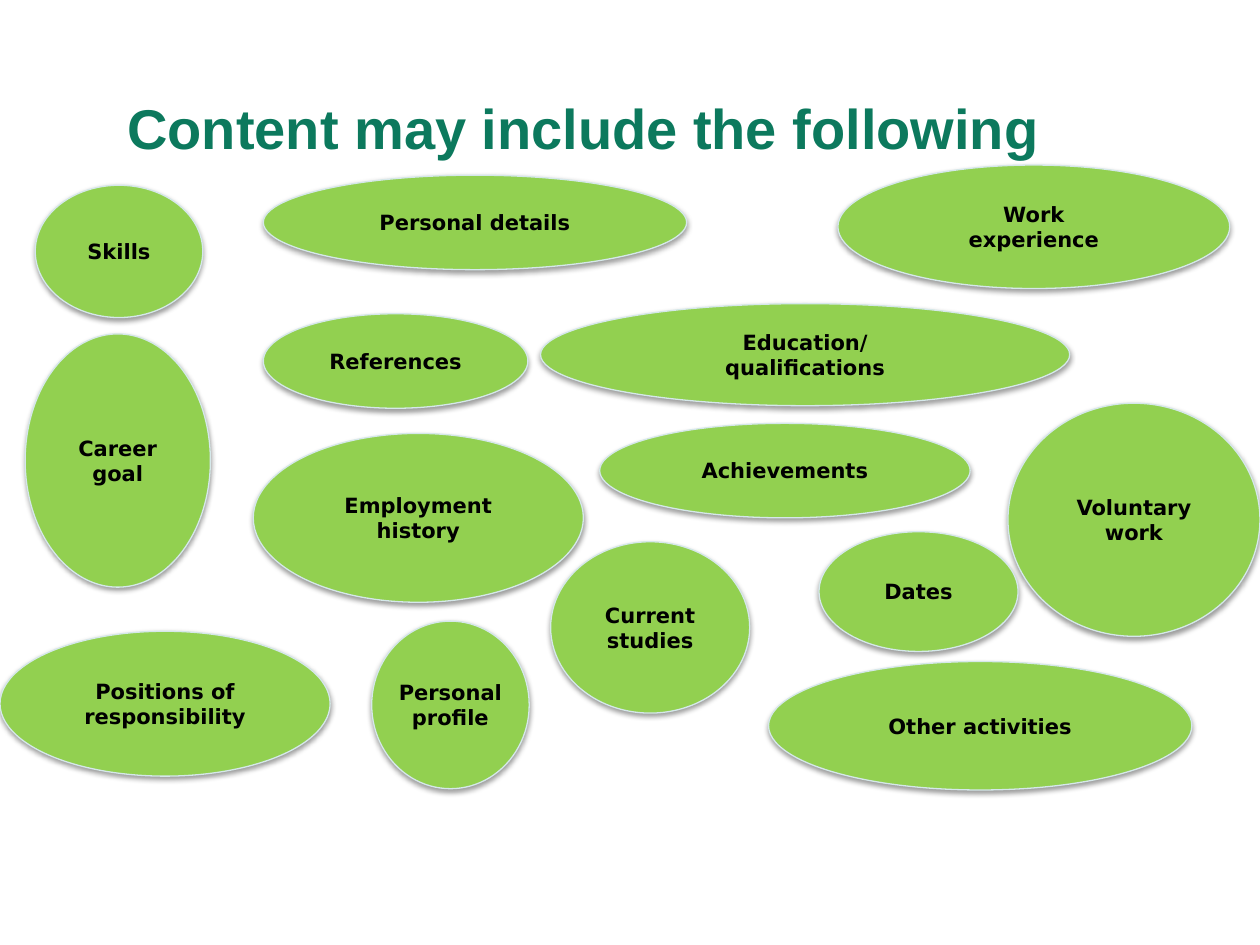
from lxml import etree
from pptx import Presentation
from pptx.dml.color import RGBColor
from pptx.enum import shapes, text
from pptx.oxml.ns import qn
from pptx.util import Inches, Pt

GREEN = RGBColor(0x92, 0xD0, 0x50)
PALE_BLUE = RGBColor(0xD5, 0xE8, 0xEA)
TEAL = RGBColor(0x0C, 0x79, 0x5D)
BLACK = RGBColor(0, 0, 0)

# Wording (one entry per line) and box: left, top, width, height in inches
TOPICS = [
    (["Personal details"], (2.09, 1.39, 3.36, 0.75)),
    (["Work", "experience"], (6.65, 1.31, 3.11, 0.98)),
    (["Education/", "qualifications"], (4.29, 2.41, 4.2, 0.81)),
    (["Employment", "history"], (2.01, 3.44, 2.62, 1.34)),
    (["Dates"], (6.5, 4.22, 1.58, 0.95)),
    (["Voluntary", "work"], (8, 3.2, 2, 1.85)),
    (["Positions of", "responsibility"], (0, 5.01, 2.62, 1.15)),
    (["Other activities"], (6.1, 5.25, 3.36, 1.02)),
    (["Skills"], (0.28, 1.47, 1.33, 1.05)),
    (["Career", "goal"], (0.2, 2.65, 1.47, 2.01)),
    (["References"], (2.09, 2.49, 2.1, 0.75)),
    (["Achievements"], (4.76, 3.36, 2.94, 0.75)),
    (["Current", "studies"], (4.37, 4.3, 1.58, 1.36)),
    (["Personal", "profile"], (2.95, 4.93, 1.25, 1.33)),
]


def write_text(frame, lines, *, font, size, color, align, anchor, wrap):
    """Fill a text frame with one bold paragraph per line."""
    frame.word_wrap = wrap
    frame.auto_size = text.MSO_AUTO_SIZE.NONE
    frame.vertical_anchor = anchor
    for index, line in enumerate(lines):
        paragraph = frame.add_paragraph() if index else frame.paragraphs[0]
        paragraph.alignment = align
        run = paragraph.add_run()
        run.text = line
        run.font.name = font
        run.font.size = Pt(size)
        run.font.bold = True
        run.font.color.rgb = color


def add_soft_shadow(shape):
    """Give a shape a faint shadow straight below it."""
    shape.shadow.inherit = False
    effects = shape.element.spPr.find(qn("a:effectLst"))
    shadow = etree.SubElement(
        effects, qn("a:outerShdw"), blurRad=str(Pt(3.1)), dist=str(Pt(1.6)),
        dir="5400000", rotWithShape="0")
    color = etree.SubElement(shadow, qn("a:srgbClr"), val=str(BLACK))
    etree.SubElement(color, qn("a:alpha"), val="38000")


def place_title(slide, wording, box):
    title = slide.shapes.title
    title.left, title.top, title.width, title.height = map(Inches, box)
    frame = title.text_frame
    frame.margin_left = frame.margin_top = frame.margin_bottom = Inches(0.06)
    frame.margin_right = Inches(0.1)
    write_text(frame, [wording], font="Arial", size=32, color=TEAL,
               align=text.PP_ALIGN.LEFT, anchor=text.MSO_ANCHOR.TOP, wrap=True)
    properties = frame.paragraphs[0]._p.get_or_add_pPr()
    properties.set("marL", str(Inches(0.04)))
    properties.set("indent", "0")


def add_topic(slide, lines, box):
    ellipse = slide.shapes.add_shape(
        shapes.MSO_SHAPE.OVAL, *map(Inches, box))
    ellipse.fill.solid()
    ellipse.fill.fore_color.rgb = GREEN
    ellipse.line.color.rgb = PALE_BLUE
    ellipse.line.width = Pt(0.75)
    add_soft_shadow(ellipse)
    write_text(ellipse.text_frame, lines, font="DejaVu Sans", size=12,
               color=BLACK, align=text.PP_ALIGN.CENTER,
               anchor=text.MSO_ANCHOR.MIDDLE, wrap=False)


def main():
    presentation = Presentation()
    presentation.slide_width = Inches(10)
    presentation.slide_height = Inches(7.5)
    title_only = presentation.slide_layouts[5]
    slide = presentation.slides.add_slide(title_only)

    # Heading
    place_title(slide, "Content may include the following",
                (0.91, 0.68, 8.32, 1.25))

    # Cloud of topics
    for lines, box in TOPICS:
        add_topic(slide, lines, box)

    presentation.save("out.pptx")


if __name__ == "__main__":
    main()
